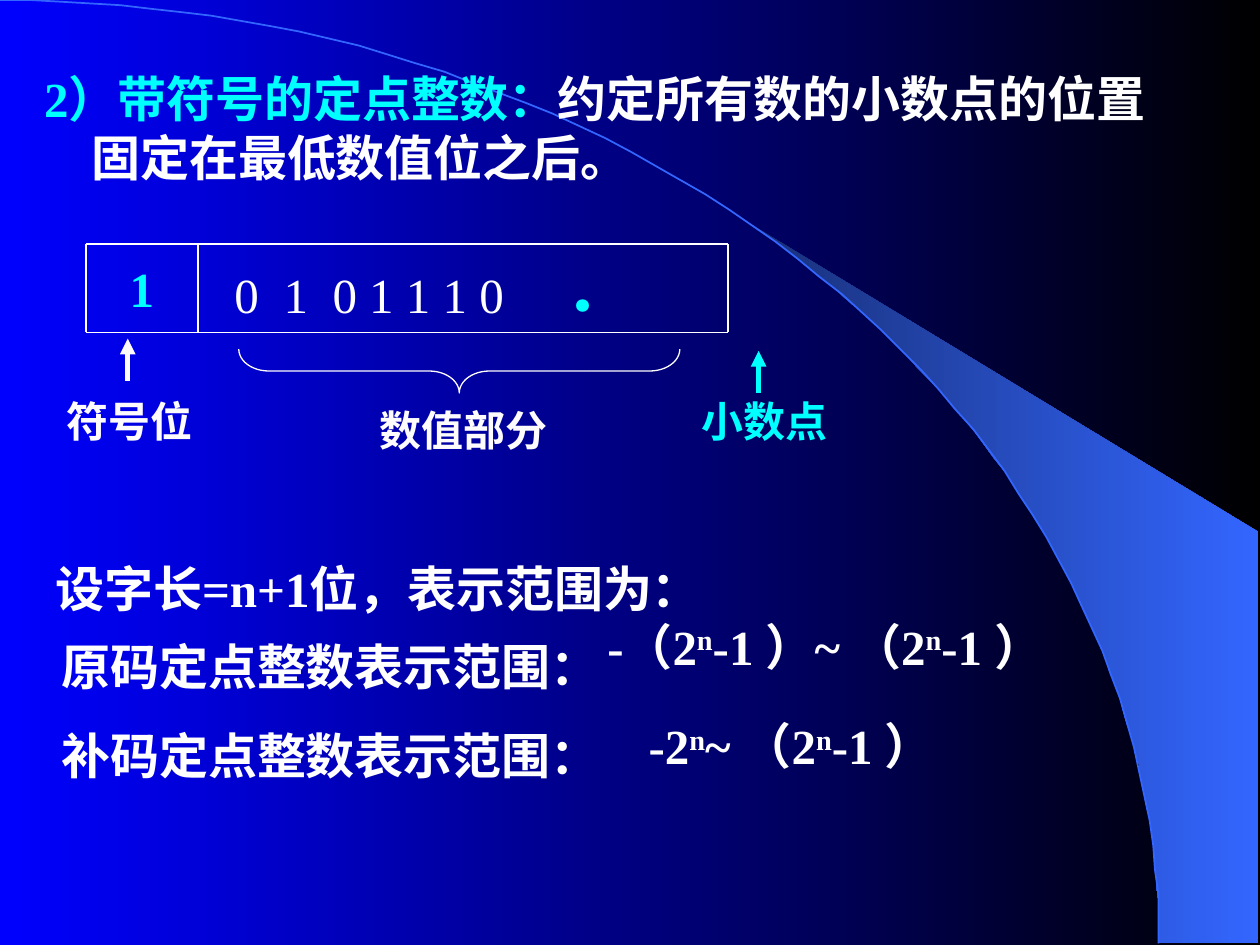
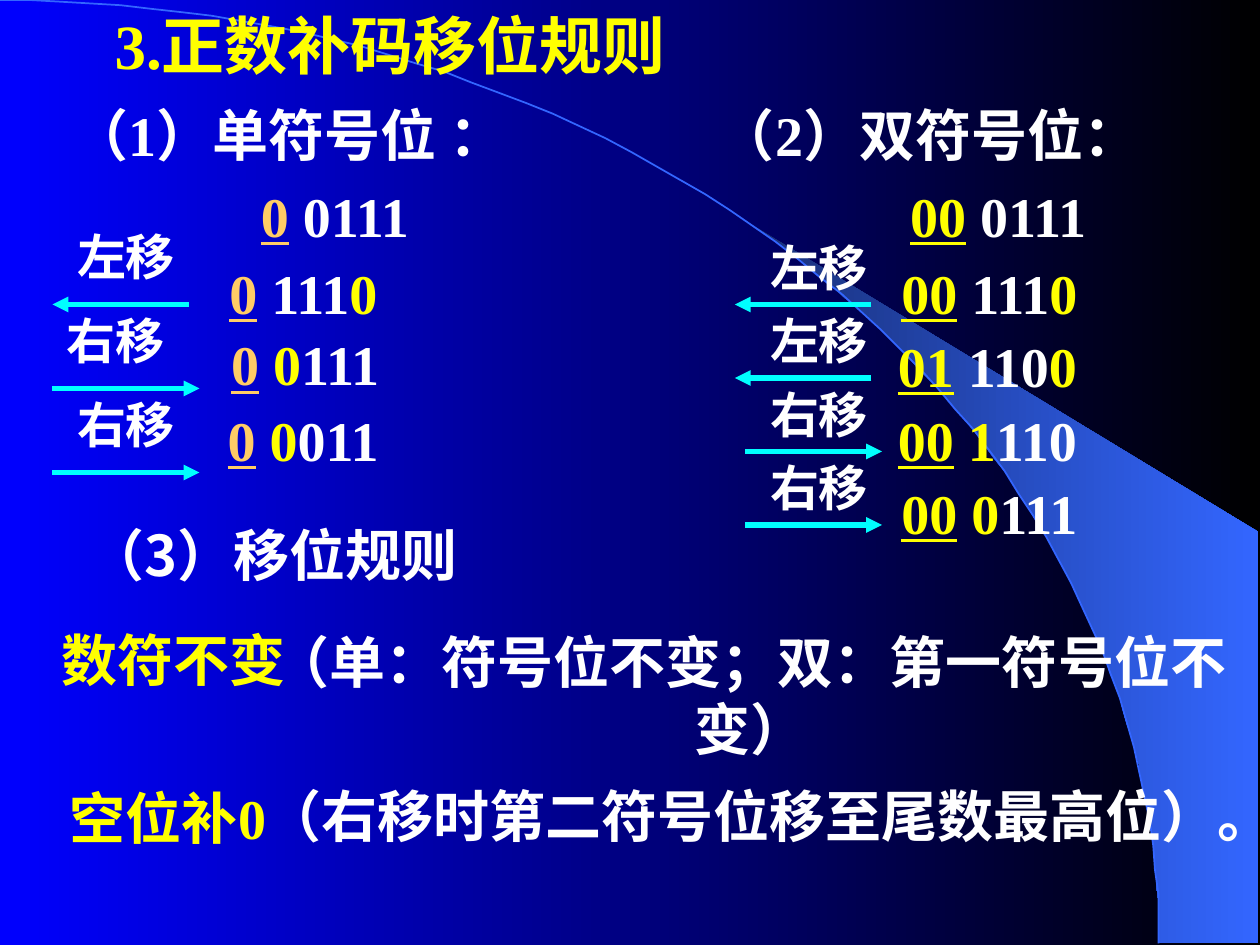
from math import asin, cos, pi, sin

from lxml.etree import SubElement
from pptx import Presentation
from pptx.dml.color import RGBColor
from pptx.enum.shapes import MSO_CONNECTOR, MSO_SHAPE
from pptx.enum.text import MSO_ANCHOR as Anchor, MSO_AUTO_SIZE, PP_ALIGN as Align
from pptx.oxml.ns import qn
from pptx.util import Pt

WIDTH, HEIGHT = 720, 540
LATIN, CJK = "Times New Roman", "Noto Sans CJK SC"
WHITE, CYAN, YELLOW, ORANGE = "FFFFFF", "00FFFF", "FFFF00", "FFCC66"
OFF_WHITE, BLUE = "FDFBFB", "3366FF"

# Run styles; a run is a plain string (paragraph style) or (text, style)
STYLES = {
    "key": {"color": CYAN},
    "point": {"color": CYAN, "size": 36, "bold": True},
    "sup": {"raised": True},
    "new": {"color": YELLOW},
    "sign": {"color": ORANGE, "underline": True},
    "signs": {"color": YELLOW, "underline": True},
}

# Slide 1: signed fixed-point integers
INTEGER_TITLE = [("2）带符号的定点整数：", "key"), "约定所有数的小数点的位置固定在最低数值位之后。"]
SIGN_BIT = "1"
VALUE_BITS = ["0\t1\t0 1 1 1 0\t", ("．", "point")]
VALUE_TABS = (28, 56, 189)
WORD_LEFT, WORD_SPLIT, WORD_RIGHT = 49, 113, 416
WORD_TOP, WORD_BOTTOM = 139.5, 190
WORD_LABELS = [  # text, left, top, width, colour
    ("符号位", 30, 222.5, 88, OFF_WHITE),
    ("数值部分", 204, 227.5, 122, OFF_WHITE),
    ("小数点", 393, 222.5, 88, CYAN),
]
POINTERS = [(73, 217.5, OFF_WHITE), (433.5, 224.5, CYAN)]  # x, foot, colour
POINTER_LENGTH = 24
RANGE_TEXTS = [  # paragraphs, left, top, width
    ([["原码定点整数表示范围："], ["补码定点整数表示范围："]], 28, 360, 344),
    ([["设字长=n+1位，表示范围为："]], 24.5, 315.5, 420),
    ([["-（2", ("n", "sup"), "-1 ）~ （2", ("n", "sup"), "-1 ）"]], 340, 348.5, 340),
    ([["-2", ("n", "sup"), "~ （2", ("n", "sup"), "-1 ）"]], 363.5, 405.5, 220),
]

# Slide 2: shift rules
SHIFT_TITLE = ["3.正数补码移位规则"]
HEADINGS = [  # text, left, top, width, font
    ("（1）单符号位 ：", 0, 54, 330, LATIN),
    ("（2）双符号位：", 384, 54, 294, LATIN),
    ("（3）移位规则", 0, 294, 312, CJK),
]
NUMBERS = [  # runs, left, top
    ([("0", "sign"), " 0111"], 142, 100),
    ([("0", "sign"), " 111", ("0", "new")], 124, 144),
    ([("0", "sign"), " ", ("0", "new"), "111"], 125, 185),
    ([("0", "sign"), " ", ("0", "new"), "011"], 123, 228),
    ([("00", "signs"), " 0111"], 513, 100),
    ([("00", "signs"), " 111", ("0", "new")], 508, 144),
    ([("01", "signs"), " 110", ("0", "new")], 506, 186),
    ([("00", "signs"), " ", ("1", "new"), "110"], 506, 228),
    ([("00", "signs"), " ", ("0", "new"), "111"], 508, 270),
]
FIRST_SHIFT = 174
SHIFTS = [  # step, then (text, label left, arrow start, arrow end)
    (48, [("左移", 30, 108, 30), ("右移", 24, 30, 114), ("右移", 30, 30, 114)]),
    (42, [("左移", 426, 498, 420)] * 2 + [("右移", 426, 426, 504)] * 2),
]
RULES = [  # text, left, top, width, colour
    ("数符不变", 18, 354, 162, YELLOW),
    ("（单：符号位不变；双：第一符号位不变）", 137.5, 355, 582.5, WHITE),
    ("空位补0", 18, 444, 156, YELLOW),
    ("（右移时第二符号位移至尾数最高位）。", 136, 443, 576, WHITE),
]


def rgb(code):
    return RGBColor.from_string(code)


def set_gradient(fill, *codes):
    fill.gradient()
    fill.gradient_angle = 0
    for position, (stop, code) in enumerate(zip(fill.gradient_stops, codes)):
        stop.color.rgb = rgb(code)
        stop.position = position


def place(shape, left, top, width, height):
    shape.left, shape.top, shape.width, shape.height = map(Pt, (left, top, width, height))


def write_runs(paragraph, runs):
    for item in runs:
        text, style = (item, {}) if isinstance(item, str) else (item[0], STYLES[item[1]])
        run = paragraph.add_run()
        run.text = text
        if "color" in style:
            run.font.color.rgb = rgb(style["color"])
        if "size" in style:
            run.font.size = Pt(style["size"])
        if "bold" in style:
            run.font.bold = True
        if "underline" in style:
            run.font.underline = True
        if "raised" in style:
            run.font._element.set("baseline", "30000")


def fill_text(shape, paragraphs, size=28, color=WHITE, align=Align.LEFT, anchor=Anchor.TOP,
              font=LATIN, bold=True, hanging=0, tabs=()):
    frame = shape.text_frame
    frame.word_wrap = True
    frame.auto_size = MSO_AUTO_SIZE.NONE
    frame.vertical_anchor = anchor
    for index, runs in enumerate(paragraphs):
        paragraph = frame.add_paragraph() if index else frame.paragraphs[0]
        paragraph.alignment = align
        if index:
            paragraph.space_before = Pt(17.5)
        props = paragraph._p.get_or_add_pPr()
        if hanging:
            props.set("marL", str(Pt(hanging)))
            props.set("indent", str(-Pt(hanging)))
        if tabs:
            tab_list = SubElement(props, qn("a:tabLst"))
            for tab in tabs:
                SubElement(tab_list, qn("a:tab"), pos=str(Pt(tab)), algn="l")
        paragraph.font.size = Pt(size)
        paragraph.font.bold = bold
        paragraph.font.color.rgb = rgb(color)
        paragraph.font.name = font
        SubElement(paragraph.font._element, qn("a:ea"), typeface=CJK)
        write_runs(paragraph, runs)
    return frame


def add_text(slide, paragraphs, left, top, width, height=41, **look):
    box = slide.shapes.add_textbox(*map(Pt, (left, top, width, height)))
    return fill_text(box, paragraphs, **look)


def add_title(slide, runs, left, top, width, height, **look):
    place(slide.shapes.title, left, top, width, height)
    fill_text(slide.shapes.title, [runs], **look)


def add_line(slide, x1, y1, x2, y2, color=WHITE, weight=1, arrow=False):
    line = slide.shapes.add_connector(MSO_CONNECTOR.STRAIGHT, *map(Pt, (x1, y1, x2, y2)))
    line.line.color.rgb = rgb(color)
    line.line.width = Pt(weight)
    if arrow:
        SubElement(line.line._get_or_add_ln(), qn("a:tailEnd"), type="triangle")
    SubElement(line._element.spPr, qn("a:effectLst"))


def arc_points(start, steps=60):
    """Points of the quarter ellipse from angle start to the bottom edge."""
    angles = [start + (pi / 2 - start) * step / steps for step in range(steps + 1)]
    return [(662.5 * sin(angle), 539 * (1 - cos(angle))) for angle in angles]


def add_outline(slide, points, close):
    builder = slide.shapes.build_freeform(*points[0], scale=float(Pt(1)))
    builder.add_line_segments(points[1:], close=close)
    outline = builder.convert_to_shape()
    outline.shadow.inherit = False
    return outline


def decorate_layout(layout, slide):
    """Draw the shared backdrop on the slide, then move it to the layout."""
    set_gradient(layout.background.fill, "0000FF", "000000")
    band_left = 424
    band = add_outline(slide, arc_points(asin(band_left / 662.5)) + [(719, 539), (719, 304.5)], True)
    set_gradient(band.fill, "182F76", BLUE)
    band.line.fill.background()
    arc = add_outline(slide, arc_points(0), False)
    arc.fill.background()
    arc.line.color.rgb = rgb(BLUE)
    arc.line.width = Pt(1)
    for position, part in enumerate((band, arc), start=2):
        layout.shapes._spTree.insert(position, part._element)


def build_integer_slide(slide):
    add_title(slide, INTEGER_TITLE, 18, 35.5, 654, 90, hanging=27)
    word_height = WORD_BOTTOM - WORD_TOP
    bits = add_text(slide, [VALUE_BITS], WORD_SPLIT, WORD_TOP, WORD_RIGHT - WORD_SPLIT, word_height,
                    anchor=Anchor.MIDDLE, bold=False, tabs=VALUE_TABS)
    bits.margin_left = Pt(21)
    add_text(slide, [[SIGN_BIT]], WORD_LEFT, WORD_TOP, WORD_SPLIT - WORD_LEFT, word_height,
             color=CYAN, align=Align.CENTER, anchor=Anchor.MIDDLE)
    for x in (WORD_LEFT, WORD_SPLIT, WORD_RIGHT):
        add_line(slide, x, WORD_TOP, x, WORD_BOTTOM)
    for y in (WORD_TOP, WORD_BOTTOM):
        add_line(slide, WORD_LEFT, y, WORD_RIGHT, y)

    brace = slide.shapes.add_shape(MSO_SHAPE.LEFT_BRACE, *map(Pt, (250, 86, 25, 252)))
    brace.rotation = 270
    brace.adjustments[0] = 0.69
    brace.shadow.inherit = False
    brace.fill.background()
    brace.line.color.rgb = rgb(OFF_WHITE)
    brace.line.width = Pt(0.75)

    for text, left, top, width, color in WORD_LABELS:
        add_text(slide, [[text]], left, top, width, size=24, color=color, align=Align.CENTER)
    for x, foot, color in POINTERS:
        add_line(slide, x, foot, x, foot - POINTER_LENGTH, color, 3, arrow=True)
    for paragraphs, left, top, width in RANGE_TEXTS:
        add_text(slide, paragraphs, left, top, width, 41 if len(paragraphs) == 1 else 92)


def build_shift_slide(slide):
    add_title(slide, SHIFT_TITLE, 24, 0, 398, 50, size=36, color=YELLOW, align=Align.CENTER)
    for text, left, top, width, font in HEADINGS:
        add_text(slide, [[text]], left, top, width, 46, size=32, align=Align.CENTER, font=font)
    for runs, left, top in NUMBERS:
        add_text(slide, [runs], left, top, 130, 46, size=32)
    for step, shifts in SHIFTS:
        for index, (text, left, start, end) in enumerate(shifts):
            y = FIRST_SHIFT + index * step
            add_text(slide, [[text]], left, y - step, 84, align=Align.CENTER)
            add_line(slide, start, y, end, y, CYAN, 3, arrow=True)
    for text, left, top, width, color in RULES:
        add_text(slide, [[text]], left, top, width, 46, size=32, color=color, align=Align.CENTER)


def main():
    deck = Presentation()
    deck.slide_width, deck.slide_height = Pt(WIDTH), Pt(HEIGHT)
    title_only = deck.slide_layouts[5]
    integer_slide, shift_slide = (deck.slides.add_slide(title_only) for _ in range(2))
    decorate_layout(title_only, integer_slide)
    build_integer_slide(integer_slide)
    build_shift_slide(shift_slide)
    deck.save("out.pptx")


if __name__ == "__main__":
    main()
